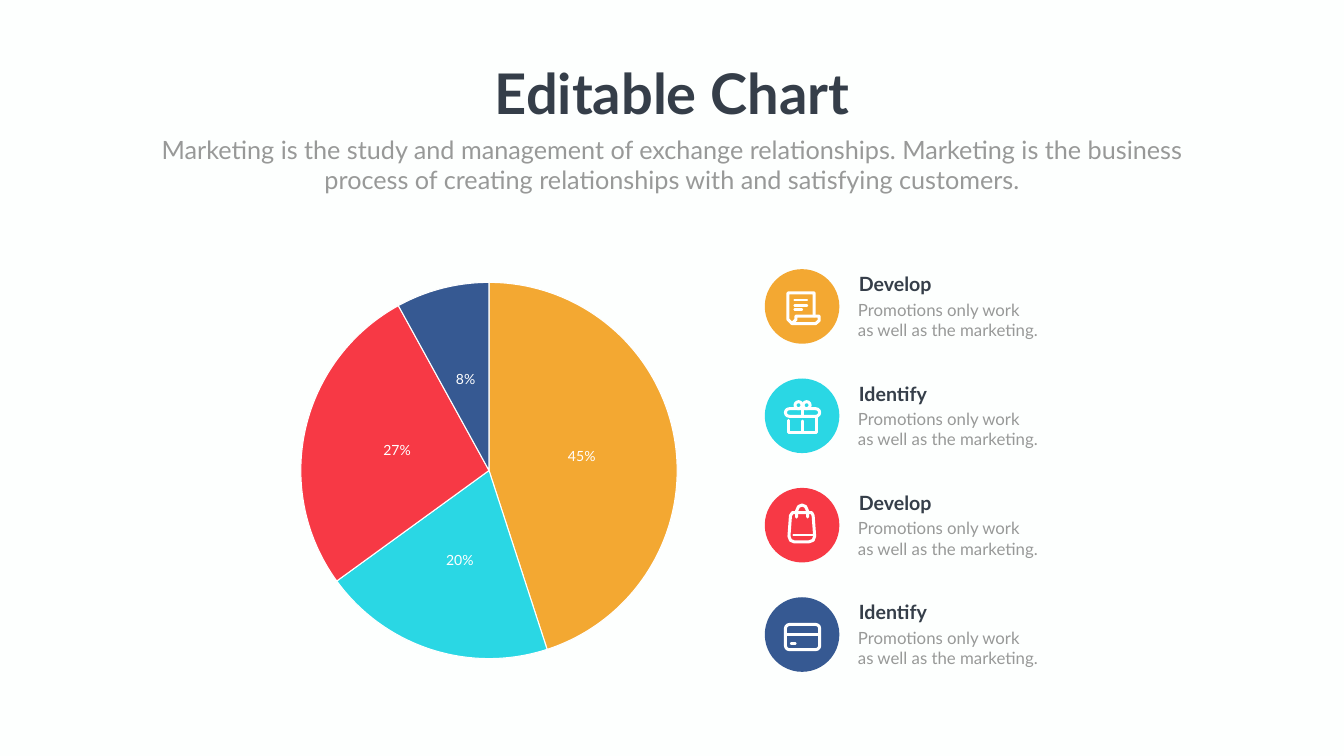
"""Build a marketing slide with a pie chart and a four-row icon legend."""
import pptx
import pptx.chart.data
import pptx.dml.color
import pptx.enum.chart
import pptx.enum.shapes
import pptx.enum.text
import pptx.oxml
import pptx.oxml.ns
import pptx.util

Inches = pptx.util.Inches
Pt = pptx.util.Pt
RGBColor = pptx.dml.color.RGBColor
SHAPE = pptx.enum.shapes.MSO_SHAPE
ALIGN = pptx.enum.text.PP_ALIGN

PAPER = RGBColor(0xFD, 0xFF, 0xFE)
WHITE = RGBColor(0xFF, 0xFF, 0xFF)
DARK = RGBColor(0x35, 0x3E, 0x49)
GREY = RGBColor(0x98, 0x99, 0x98)
ORANGE = RGBColor(0xF3, 0xA8, 0x32)
CYAN = RGBColor(0x2A, 0xD7, 0xE4)
RED = RGBColor(0xF7, 0x39, 0x45)
BLUE = RGBColor(0x36, 0x59, 0x92)

TITLE = {"name": "Lato", "size": Pt(80), "bold": True}
SUBTITLE = {"name": "Lato", "size": Pt(36), "bold": False}
HEADING = {"name": "Lato", "size": Pt(28), "bold": True}
BODY = {"name": "Lato", "size": Pt(24), "bold": False}
LABEL = {"name": "Lato", "size": Pt(20), "bold": False}

SCROLL = {
    "outlines": [
        [(0.54, 1.08), (0.46, 1.0), (0.46, 0.47), (0.98, 0.47), (0.98, 0.93)],
        [(0.54, 1.08), (0.62, 1.0), (0.62, 0.93), (1.08, 0.93), (1.08, 1.02),
         (1.01, 1.08), (0.54, 1.08)],
    ],
    "lines": [(0.59, 0.62, 0.84, 0.62), (0.59, 0.72, 0.84, 0.72), (0.59, 0.8, 0.74, 0.8)],
}
GIFT = {
    "frames": [(0.41, 0.6, 0.68, 0.15), (0.6, 0.46, 0.14, 0.14), (0.76, 0.46, 0.14, 0.14)],
    "outlines": [[(0.48, 0.83), (0.48, 1.07), (1.02, 1.07), (1.02, 0.75)]],
    "lines": [(0.75, 0.6, 0.75, 0.72), (0.75, 0.84, 0.75, 1.07)],
}
BAG = {
    "outlines": [
        [(0.55, 0.49), (0.93, 0.49), (0.96, 0.55), (0.99, 0.96), (0.96, 1.04),
         (0.88, 1.07), (0.58, 1.07), (0.51, 1.04), (0.48, 0.96), (0.51, 0.55), (0.55, 0.49)],
        [(0.63, 0.58), (0.63, 0.46), (0.67, 0.37), (0.74, 0.34), (0.81, 0.37),
         (0.85, 0.46), (0.85, 0.58)],
    ],
    "lines": [(0.57, 0.94, 0.97, 0.94)],
}
CARD = {
    "frames": [(0.41, 0.54, 0.68, 0.5)],
    "lines": [(0.43, 0.74, 1.09, 0.74), (0.52, 0.92, 0.61, 0.92)],
}
ROWS = [
    ("Develop", 45, ORANGE, SCROLL),
    ("Identify", 20, CYAN, GIFT),
    ("Develop", 27, RED, BAG),
    ("Identify", 8, BLUE, CARD),
]


def write_text(box, bounds, lines, values, color, align):
    box.left, box.top, box.width, box.height = [Inches(value) for value in bounds]
    frame = box.text_frame
    frame.word_wrap = True
    frame.auto_size = pptx.enum.text.MSO_AUTO_SIZE.NONE
    frame.vertical_anchor = pptx.enum.text.MSO_ANCHOR.TOP
    frame.text = "\n".join(lines)
    for para in frame.paragraphs:
        para.alignment = align
        para.space_before = Pt(0)
        for name, value in values.items():
            setattr(para.font, name, value)
        para.font.color.rgb = color


def style_stroke(shape, width):
    shape.line.color.rgb = WHITE
    shape.line.width = Pt(width)
    properties = shape.line._get_or_add_ln()
    properties.set("cap", "rnd")
    properties.append(pptx.oxml.parse_xml(f"<a:round {pptx.oxml.ns.nsdecls('a')}/>"))


deck = pptx.Presentation()
deck.slide_width, deck.slide_height = Inches(26.66), Inches(15)
page = deck.slides.add_slide(deck.slide_layouts[0])
page.background.fill.solid()
page.background.fill.fore_color.rgb = PAPER

write_text(page.shapes.title, (9.15, 1.12, 8.37, 1.45), ["Editable Chart"],
           TITLE, DARK, ALIGN.CENTER)
write_text(page.placeholders[1], (2.92, 2.61, 20.82, 1.31),
           ["Marketing is the study and management of exchange relationships. Marketing is the "
            "business process of creating relationships with and satisfying customers."],
           SUBTITLE, GREY, ALIGN.CENTER)

data = pptx.chart.data.CategoryChartData()
data.categories = ["1", "2", "3", "4"]
data.add_series("Series 1", [share for _, share, _, _ in ROWS])
chart = page.shapes.add_chart(pptx.enum.chart.XL_CHART_TYPE.PIE, Inches(5.83), Inches(5.44),
                              Inches(7.74), Inches(7.79), data).chart
chart.has_legend = False
chart.has_title = False
plot = chart.plots[0]
plot.vary_by_categories = True
plot.has_data_labels = True
labels = plot.data_labels
labels.show_percentage = True
labels.show_value = False
labels.number_format = "0%"
labels.number_format_is_linked = False
labels.position = pptx.enum.chart.XL_LABEL_POSITION.CENTER
for font in (chart.font, labels.font):
    for name, value in LABEL.items():
        setattr(font, name, value)
    font.color.rgb = WHITE

for index, (heading, _, color, icon) in enumerate(ROWS):
    slice_format = plot.series[0].points[index].format
    slice_format.fill.solid()
    slice_format.fill.fore_color.rgb = color
    slice_format.line.color.rgb = WHITE
    slice_format.line.width = Pt(1.5)

    left, top = 15.17, 5.34 + 2.17 * index
    circle = page.shapes.add_shape(SHAPE.OVAL, Inches(left), Inches(top),
                                   Inches(1.48), Inches(1.48))
    circle.shadow.inherit = False
    circle.fill.solid()
    circle.fill.fore_color.rgb = color
    circle.line.fill.background()

    for x, y, width, height in icon.get("frames", []):
        frame = page.shapes.add_shape(SHAPE.ROUNDED_RECTANGLE, Inches(left + x), Inches(top + y),
                                      Inches(width), Inches(height))
        frame.adjustments[0] = min(0.5, 0.08 / min(width, height))
        frame.shadow.inherit = False
        frame.fill.background()
        style_stroke(frame, 4.3)
    for outline in icon.get("outlines", []):
        points = [(Inches(left + x), Inches(top + y)) for x, y in outline]
        builder = page.shapes.build_freeform(*points[0])
        builder.add_line_segments(points[1:], close=outline[0] == outline[-1])
        shape = builder.convert_to_shape()
        shape.shadow.inherit = False
        shape.fill.background()
        style_stroke(shape, 4.3)
    for x1, y1, x2, y2 in icon["lines"]:
        line = page.shapes.add_connector(
            pptx.enum.shapes.MSO_CONNECTOR.STRAIGHT, Inches(left + x1), Inches(top + y1),
            Inches(left + x2), Inches(top + y2))
        style_stroke(line, 3.2)
        line._element.spPr.append(
            pptx.oxml.parse_xml(f"<a:effectLst {pptx.oxml.ns.nsdecls('a')}/>"))

    write_text(page.shapes.add_textbox(0, 0, 0, 0), (16.94, top + 0.01, 2.2, 0.57),
               [heading], HEADING, DARK, ALIGN.LEFT)
    write_text(page.shapes.add_textbox(0, 0, 0, 0), (16.92, top + 0.55, 3.9, 0.91),
               ["Promotions only work", "as well as the marketing."], BODY, GREY, ALIGN.LEFT)

deck.save("out.pptx")
